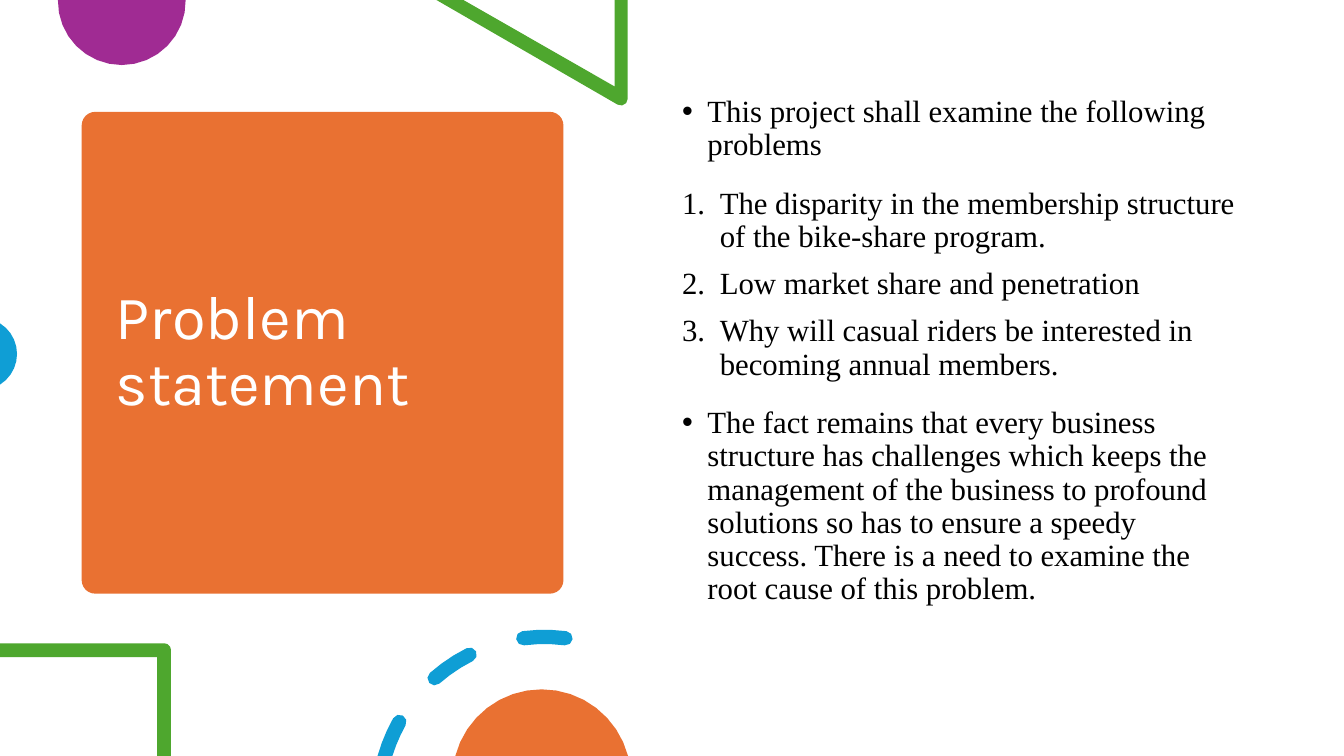
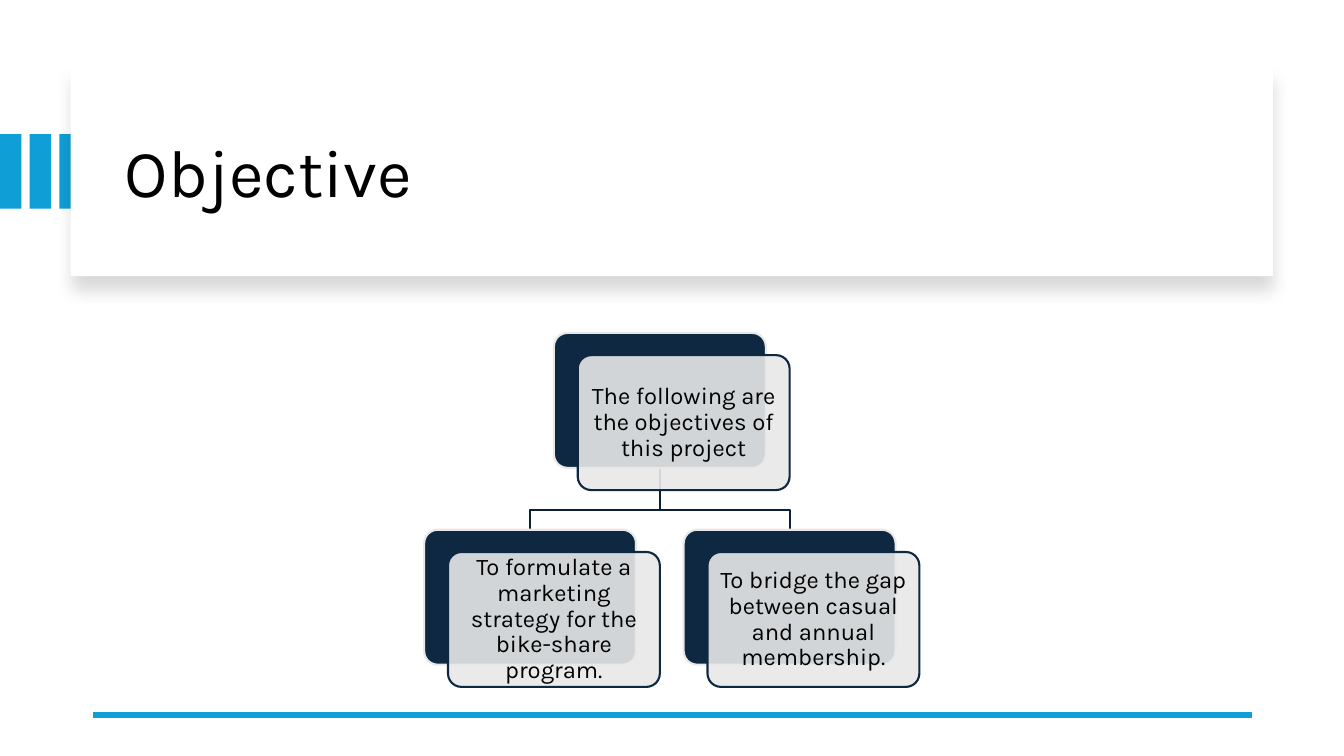
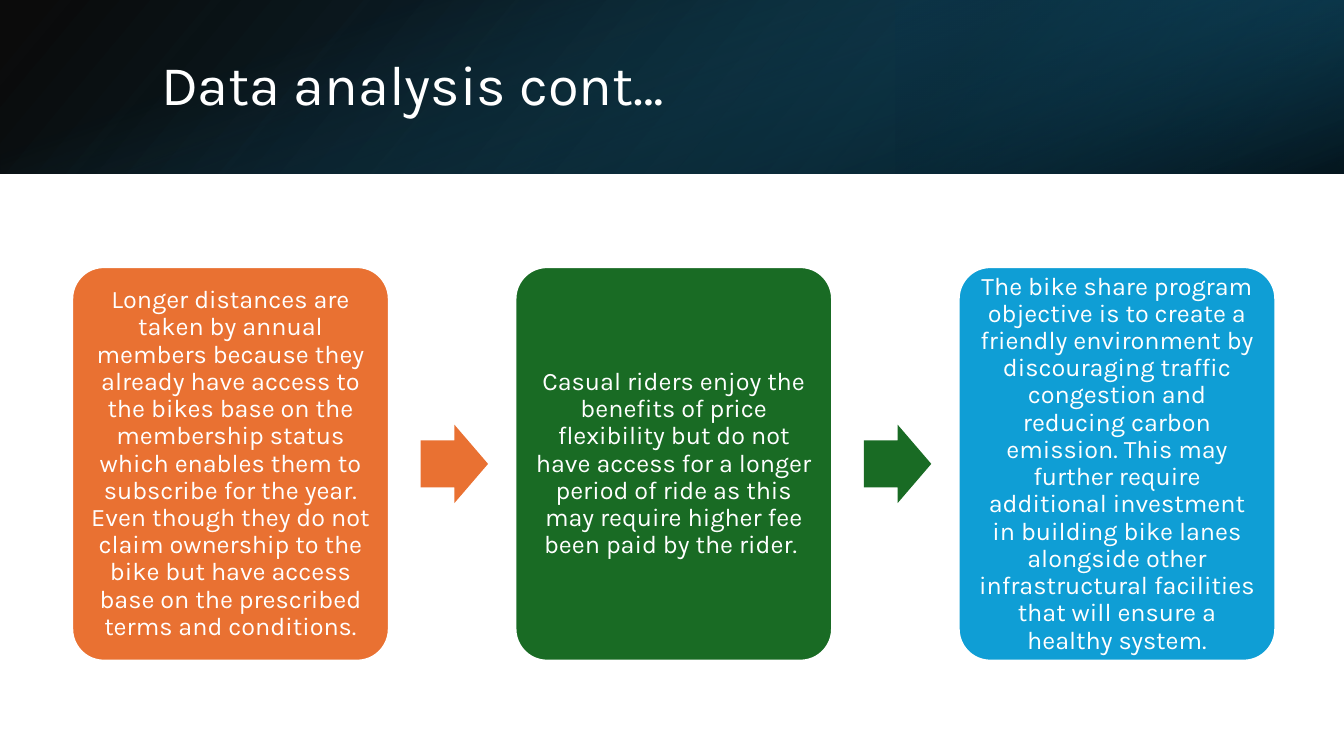
import math
from dataclasses import dataclass

from pptx import Presentation
from pptx.dml.color import RGBColor
from pptx.enum import shapes, text
from pptx.oxml import parse_xml
from pptx.oxml import ns
from pptx.util import Cm, Pt


@dataclass(frozen=True)
class Theme:
    white: str = "FFFFFF"
    black: str = "000000"
    orange: str = "E97132"
    blue: str = "0F9ED5"
    green: str = "4EA72E"
    forest: str = "196B24"
    purple: str = "A02B93"
    navy: str = "0E2841"
    branch: str = "0B2034"
    grey: str = "E8E8E8"
    heading_font: str = "Karla"
    body_font: str = "Times New Roman"
    card_title: int = 44
    band_title: int = 48
    banner_title: int = 40
    body: int = 22
    node: int = 17
    step: int = 18
    outline: float = 1.5
    rule: float = 4.5
    line_spacing: float = 0.9


@dataclass(frozen=True)
class Box:
    left: float
    top: float
    width: float
    height: float

    def inner(self, left, top, width, height):
        return Box(self.left + left, self.top + top, width, height)

    def lengths(self):
        return [Cm(n) for n in (self.left, self.top, self.width, self.height)]


THEME = Theme()
PAGE = Box(0, 0, 33.87, 19.05)
KIND = shapes.MSO_SHAPE


# ---- shared parts ----

def apply(target, values):
    for name, value in values.items():
        setattr(target, name, value)


def paint(shape, fill=None, line=None, width=THEME.outline):
    shape.shadow.inherit = False
    if fill:
        shape.fill.solid()
        shape.fill.fore_color.rgb = RGBColor.from_string(fill)
    else:
        shape.fill.background()
    if line:
        shape.line.color.rgb = RGBColor.from_string(line)
        shape.line.width = Pt(width)
    else:
        shape.line.fill.background()
    return shape


def add_block(page, kind, box, fill, line=None, adjust=()):
    shape = page.shapes.add_shape(kind, *box.lengths())
    for index, value in enumerate(adjust):
        shape.adjustments[index] = value
    return paint(shape, fill, line)


def add_outline(page, box, contours, fill=None, line=None, close=True):
    contours = [[(Cm(box.left + x), Cm(box.top + y)) for x, y in points]
                for points in contours]
    builder = page.shapes.build_freeform(*contours[0][0])
    for index, points in enumerate(contours):
        if index:
            builder.move_to(*points[0])
        builder.add_line_segments(points[1:], close=close)
    return paint(builder.convert_to_shape(), fill, line)


def write(para, words, font, size, color, **layout):
    span = para.add_run()
    span.text = words
    apply(span.font, {"name": font, "size": Pt(size)})
    span.font.color.rgb = RGBColor.from_string(color)
    apply(para, {"line_spacing": THEME.line_spacing, **layout})


def add_title(page, box, words, size, color):
    frame = page.shapes.add_textbox(*box.lengths()).text_frame
    apply(frame, {"word_wrap": True,
                  "vertical_anchor": text.MSO_ANCHOR.MIDDLE})
    write(frame.paragraphs[0], words, THEME.heading_font, size, color)


def fill_card(shape, words, size, color):
    frame = shape.text_frame
    inset = Cm(0.18)
    apply(frame, {"word_wrap": True,
                  "vertical_anchor": text.MSO_ANCHOR.MIDDLE,
                  "margin_left": inset, "margin_right": inset,
                  "margin_top": inset, "margin_bottom": inset})
    write(frame.paragraphs[0], words, THEME.heading_font, size, color,
          alignment=text.PP_ALIGN.CENTER)


def arc(x, y, radius, start, end, steps):
    angles = [math.radians(start + (end - start) * i / steps)
              for i in range(steps + 1)]
    return [(x + radius * math.cos(a), y + radius * math.sin(a))
            for a in angles]


# ---- slide 1: problem statement ----

def ring_dash(end, floor, x=13.72, y=20.24, radius=4.19, half=0.18):
    """Round-ended piece of a ring, cut flat where it meets the floor."""
    start = end - 14.6

    def cut(size):
        return math.degrees(math.asin((y - floor) / size)) - 180

    outer, inner = radius + half, radius - half
    points = arc(x, y, outer, max(start, cut(outer)), end, 3)
    points += arc(*arc(x, y, radius, end, end, 1)[0],
                  half, end, end + 180, 4)
    points += arc(x, y, inner, end, max(start, cut(inner)), 3)
    if start > cut(radius):
        points += arc(*arc(x, y, radius, start, start, 1)[0],
                      half, start + 180, start + 360, 4)
    return points


def add_decoration(page, box):
    floor = box.height
    triangle = [(15.82, 0), (15.49, 0), (15.49, 2.18), (11.68, 0), (11, 0),
                *arc(15.65, 2.49, 0.17, 120, 0, 3)]
    corner = [(0, 16.21), *arc(4.14, 16.38, 0.17, -90, 0, 3),
              (4.31, floor), (3.96, floor), (3.96, 16.56), (0, 16.56)]
    dashes = [ring_dash(end, floor) for end in (-82.7, -116.7, -150.7)]
    for contours, color in (
            ([arc(3.07, 0.03, 1.61, -1, 181, 16)], THEME.purple),
            ([triangle], THEME.green),
            ([arc(-0.48, 8.92, 0.91, -58, 58, 10)], THEME.blue),
            ([corner], THEME.green),
            (dashes, THEME.blue),
            ([arc(13.65, 19.62, 2.25, -165.3, -14.7, 16)], THEME.orange)):
        add_outline(page, box, contours, color)


def add_list(page, box, items):
    frame = page.shapes.add_textbox(*box.lengths()).text_frame
    frame.word_wrap = True
    for index, (words, numbered, after) in enumerate(items):
        para = frame.add_paragraph() if index else frame.paragraphs[0]
        write(para, words, THEME.body_font, THEME.body, THEME.black,
              space_before=Pt(10), space_after=Pt(after))
        props = para._p.get_or_add_pPr()
        indent = Cm(0.95 if numbered else 0.64)
        props.set("marL", str(indent))
        props.set("indent", str(-indent))
        marks = (['<a:buFont {} typeface="+mj-lt"/>',
                  '<a:buAutoNum {} type="arabicPeriod"/>'] if numbered else
                 ['<a:buFont {} typeface="Arial"/>',
                  '<a:buChar {} char="•"/>'])
        for mark in marks:
            props.append(parse_xml(mark.format(ns.nsdecls("a"))))


def problem_page(page):
    add_decoration(page, Box(0, 0, PAGE.width / 2, PAGE.height))
    card = Box(2.06, 2.82, 12.14, 12.14)
    add_block(page, KIND.ROUNDED_RECTANGLE, card, THEME.orange,
              adjust=[0.028])
    add_title(page, card.inner(0.61, 0.28, 10.95, 11.58),
              "Problem statement", THEME.card_title, THEME.white)
    add_list(page, Box(16.94, 2.29, 14.61, 13.59), [
        ("This project shall examine the following problems", False, 8),
        ("The disparity in the membership structure of the bike-share "
         "program.", True, 0),
        ("Low market share and penetration", True, 0),
        ("Why will casual riders be interested in becoming annual members.",
         True, 8),
        ("The fact remains that every business structure has challenges "
         "which keeps the management of the business to profound solutions "
         "so has to ensure a speedy success. There is a need to examine the "
         "root cause of this problem.", False, 0)])


# ---- slide 2: objective ----

def add_title_band(page, box, words):
    for index in range(3):
        bar = Box(index * 0.75, box.top + 1.68, 0.54, 1.88)
        add_block(page, KIND.RECTANGLE, bar, THEME.blue)
    band = add_block(page, KIND.RECTANGLE, box, THEME.white)
    effects = band._element.spPr.find(ns.qn("a:effectLst"))
    effects.append(parse_xml(
        f'<a:outerShdw {ns.nsdecls("a")} blurRad="{Pt(11)}" dist="{Pt(10)}" '
        f'dir="5400000" algn="t" rotWithShape="0">'
        f'<a:srgbClr val="{THEME.black}"><a:alpha val="15000"/></a:srgbClr>'
        f'</a:outerShdw>'))
    add_title(page, box.inner(1.12, 0.56, 28.27, 4.32), words,
              THEME.band_title, THEME.black)


def add_rule(page, left, right, y):
    rule = page.shapes.add_connector(shapes.MSO_CONNECTOR.STRAIGHT,
                                     Cm(right), Cm(y), Cm(left), Cm(y))
    rule.line.color.rgb = RGBColor.from_string(THEME.blue)
    rule.line.width = Pt(THEME.rule)
    rule._element.spPr.append(
        parse_xml(f'<a:effectLst {ns.nsdecls("a")}/>'))


def add_node(page, box, words):
    style = {"kind": KIND.ROUNDED_RECTANGLE, "adjust": [0.1]}
    add_block(page, box=box, fill=THEME.navy, line=THEME.grey, **style)
    front = add_block(page, box=box.inner(0.6, 0.56, box.width, box.height),
                      fill=THEME.grey, line=THEME.navy, **style)
    color = front._element.spPr.find(ns.qn("a:solidFill"))[0]
    color.append(parse_xml(f'<a:alpha {ns.nsdecls("a")} val="90000"/>'))
    fill_card(front, words, THEME.node, THEME.black)


def add_tree(page, box, root, leaves):
    width, height, step, drop = 5.34, 3.4, 6.54, 4.96
    lefts = [i * step for i in range(len(leaves))]
    root_left = lefts[-1] / 2
    stem, bend = root_left + width / 2, height + 1.07
    for left in reversed(lefts):
        middle = left + width / 2
        add_outline(page, box, [[(stem, height), (stem, bend),
                                 (middle, bend), (middle, drop)]],
                    line=THEME.branch, close=False)
    add_node(page, box.inner(root_left, 0, width, height), root)
    for left, words in zip(lefts, leaves):
        add_node(page, box.inner(left, drop, width, height), words)


def objective_page(page):
    add_title_band(page, Box(1.78, 1.7, 30.3, 5.26), "Objective")
    add_rule(page, 2.34, 31.55, 18.01)
    add_tree(page, Box(10.69, 8.39, 12.48, 8.92),
             "The following are the objectives of this project",
             ["To formulate a marketing strategy for the bike-share program.",
              "To bridge the gap between casual and annual membership."])


# ---- slide 3: data analysis ----

def add_gradient(page, box, stops, angle, rotation=0, flip=False):
    shape = add_block(page, KIND.RECTANGLE, box, THEME.black)
    shape.rotation = rotation
    props = shape._element.spPr
    if flip:
        props.get_or_add_xfrm().set("flipH", "1")
    marks = "".join(
        f'<a:gs pos="{place * 1000}"><a:srgbClr val="{color}">'
        f'<a:alpha val="{opacity * 1000}"/></a:srgbClr></a:gs>'
        for place, color, opacity in stops)
    props.replace(props.find(ns.qn("a:solidFill")), parse_xml(
        f'<a:gradFill {ns.nsdecls("a")} rotWithShape="1">'
        f'<a:gsLst>{marks}</a:gsLst>'
        f'<a:lin ang="{angle * 60000}" scaled="0"/></a:gradFill>'))


def add_banner(page, box, words):
    third = box.width / 3
    add_gradient(page, box, [(0, THEME.black, 96), (100, "104862", 100)],
                 140, flip=True)
    add_gradient(page, box.inner(2 * third, 0, third, box.height),
                 [(19, "0B3041", 68), (100, "156082", 79)],
                 320, rotation=180, flip=True)
    turn = (box.width - box.height) / 2
    add_gradient(page, box.inner(turn, -turn, box.height, box.width),
                 [(23, "156082", 0), (99, THEME.black, 74)],
                 340, rotation=90)
    add_title(page, box.inner(3.81, 0.97, 27.89, 2.44), words,
              THEME.banner_title, THEME.white)


def add_process(page, box, steps):
    width, arrow_width, arrow_height = 7.98, 1.7, 1.98
    pitch = (box.width - width) / (len(steps) - 1)
    for index, (color, words) in enumerate(steps):
        left = index * pitch
        card = add_block(page, KIND.ROUNDED_RECTANGLE,
                         box.inner(left, 0, width, box.height),
                         color, THEME.white, [0.1])
        fill_card(card, words, THEME.step, THEME.white)
        if index < len(steps) - 1:
            arrow = box.inner(left + width + 0.8,
                              (box.height - arrow_height) / 2,
                              arrow_width, arrow_height)
            add_block(page, KIND.RIGHT_ARROW, arrow, color,
                      adjust=[0.6, 0.5])


def analysis_page(page):
    add_banner(page, Box(0, 0, PAGE.width, 4.38), "Data analysis cont…")
    add_process(page, Box(1.82, 6.73, 30.32, 9.92), [
        (THEME.orange,
         "Longer distances are taken by annual members because they already "
         "have access to the bikes base on the membership status which "
         "enables them to subscribe for the year. Even though they do not "
         "claim ownership to the bike but have access base on the prescribed "
         "terms and conditions."),
        (THEME.forest,
         "Casual riders enjoy the benefits of price flexibility but do not "
         "have access for a longer period of ride as this may require higher "
         "fee been paid by the rider. "),
        (THEME.blue,
         "The bike share program objective is to create a friendly "
         "environment by discouraging traffic congestion and reducing carbon "
         "emission. This may further require additional investment in "
         "building bike lanes alongside other infrastructural facilities "
         "that will ensure a healthy system.")])


def main():
    deck = Presentation()
    apply(deck, {"slide_width": Cm(PAGE.width),
                 "slide_height": Cm(PAGE.height)})
    for build in (problem_page, objective_page, analysis_page):
        build(deck.slides.add_slide(deck.slide_layouts[6]))
    deck.save("out.pptx")


if __name__ == "__main__":
    main()
